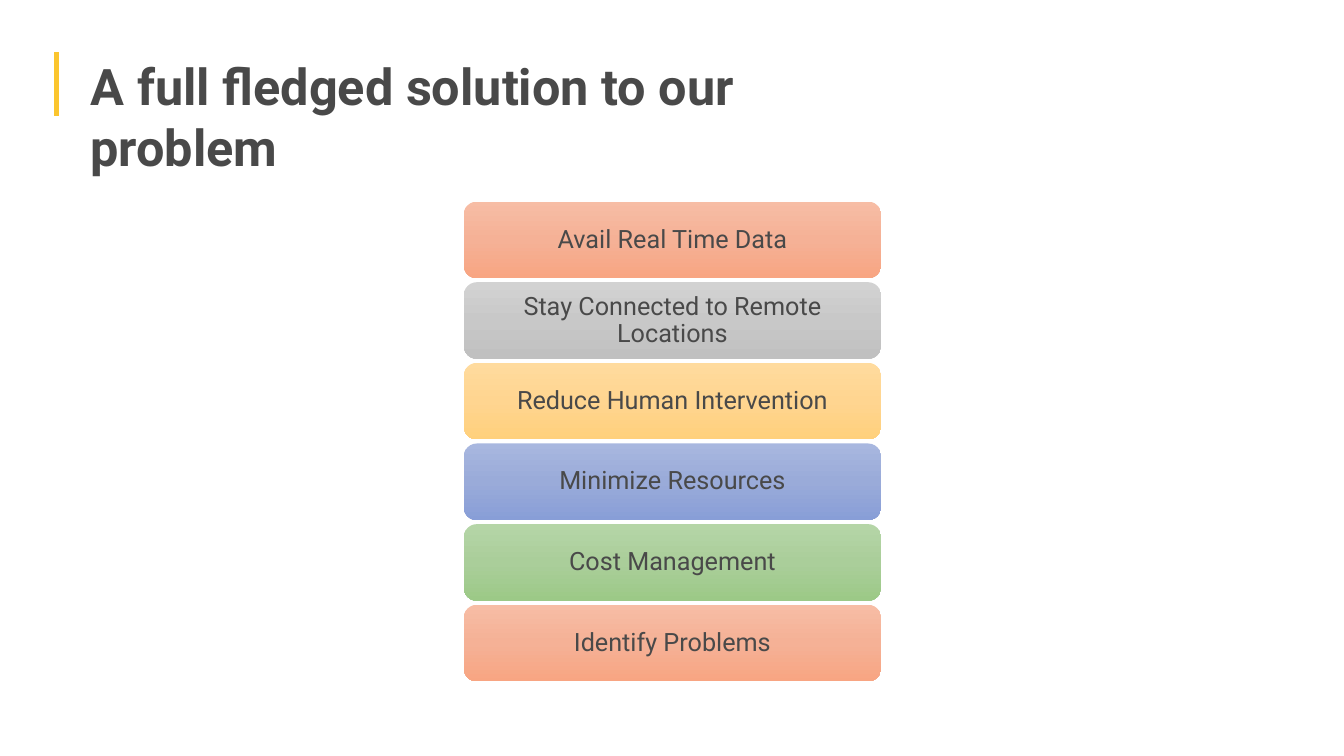
import copy

import pptx
import pptx.util
import pptx.dml.color
import pptx.enum.shapes
import pptx.enum.text
import pptx.oxml.ns
from pptx.util import Inches

# Content, from top to bottom
TITLE = "A full fledged solution to our problem"
STEPS = [
    ("Avail Real Time Data", "orange"),
    ("Stay Connected to Remote Locations", "grey"),
    ("Reduce Human Intervention", "yellow"),
    ("Minimize Resources", "blue"),
    ("Cost Management", "green"),
    ("Identify Problems", "orange"),
]

THEME = {
    "font": "Roboto",
    "text": "494949",
    "accent": "FBC52E",
    "title_size": 36,
    "step_size": 18,
    "gradients": {
        "orange": ("F7BDA5", "F5B196", "F8A582"),
        "grey": ("D2D2D2", "C8C8C8", "C0C0C0"),
        "yellow": ("FFDB9E", "FFD590", "FFD07C"),
        "blue": ("A8B7DF", "9AABD9", "889ED7"),
        "green": ("B5D5A7", "AACE9A", "9CC987"),
    },
}

# Layout of the stack, in inches
STACK_LEFT, STACK_TOP = 4.6, 2.0
STEP_WIDTH, STEP_HEIGHT, STEP_PITCH = 4.14, 0.76, 0.8

ALIGN = pptx.enum.text.PP_ALIGN
ANCHOR = pptx.enum.text.MSO_ANCHOR
rgb = pptx.dml.color.RGBColor.from_string


def write_text(tf, text, size, bold=False, align=ALIGN.LEFT,
               anchor=ANCHOR.TOP, spacing=None, insets=(0.1, 0.05)):
    tf.word_wrap = True
    tf.vertical_anchor = anchor
    tf.margin_left = tf.margin_right = Inches(insets[0])
    tf.margin_top = tf.margin_bottom = Inches(insets[1])
    p = tf.paragraphs[0]
    p.alignment = align
    p.line_spacing = spacing
    r = p.add_run()
    r.text = text
    r.font.name = THEME["font"]
    r.font.size = pptx.util.Pt(size)
    r.font.bold = bold
    r.font.color.rgb = rgb(THEME["text"])


def fill_gradient(sp, colors):
    """Fill from top to bottom with evenly spaced colour stops."""
    sp.fill.gradient()
    sp.fill.gradient_angle = 270
    stop_list = next(sp._element.iter(pptx.oxml.ns.qn("a:gsLst")))
    while len(stop_list) < len(colors):
        stop_list.append(copy.deepcopy(stop_list[0]))
    for i, (stop, color) in enumerate(zip(sp.fill.gradient_stops, colors)):
        stop.position = i / (len(colors) - 1)
        stop.color.rgb = rgb(color)


def add_title(s):
    bar = s.shapes.add_connector(pptx.enum.shapes.MSO_CONNECTOR.STRAIGHT,
                                 Inches(0.56), Inches(0.52),
                                 Inches(0.56), Inches(1.15))
    bar.line.color.rgb = rgb(THEME["accent"])
    bar.line.width = pptx.util.Pt(3)
    bar._element.spPr.append(pptx.oxml.xmlchemy.OxmlElement("a:effectLst"))

    box = s.shapes.add_textbox(Inches(0.8), Inches(0.5),
                               Inches(7.39), Inches(0.71))
    write_text(box.text_frame, TITLE, THEME["title_size"], bold=True)
    box.text_frame.auto_size = pptx.enum.text.MSO_AUTO_SIZE.SHAPE_TO_FIT_TEXT


def add_step(s, index, text, color):
    sp = s.shapes.add_shape(pptx.enum.shapes.MSO_SHAPE.ROUNDED_RECTANGLE,
                            Inches(STACK_LEFT),
                            Inches(STACK_TOP + index * STEP_PITCH),
                            Inches(STEP_WIDTH), Inches(STEP_HEIGHT))
    sp.adjustments[0] = 0.17
    sp.shadow.inherit = False
    sp.line.fill.background()
    fill_gradient(sp, THEME["gradients"][color])
    write_text(sp.text_frame, text, THEME["step_size"], align=ALIGN.CENTER,
               anchor=ANCHOR.MIDDLE, spacing=0.9, insets=(0.07, 0.04))


def main():
    prs = pptx.Presentation()
    prs.slide_width, prs.slide_height = Inches(13.33), Inches(7.5)
    s = prs.slides.add_slide(prs.slide_layouts[6])
    add_title(s)
    for index, (text, color) in enumerate(STEPS):
        add_step(s, index, text, color)
    prs.save("out.pptx")


if __name__ == "__main__":
    main()
